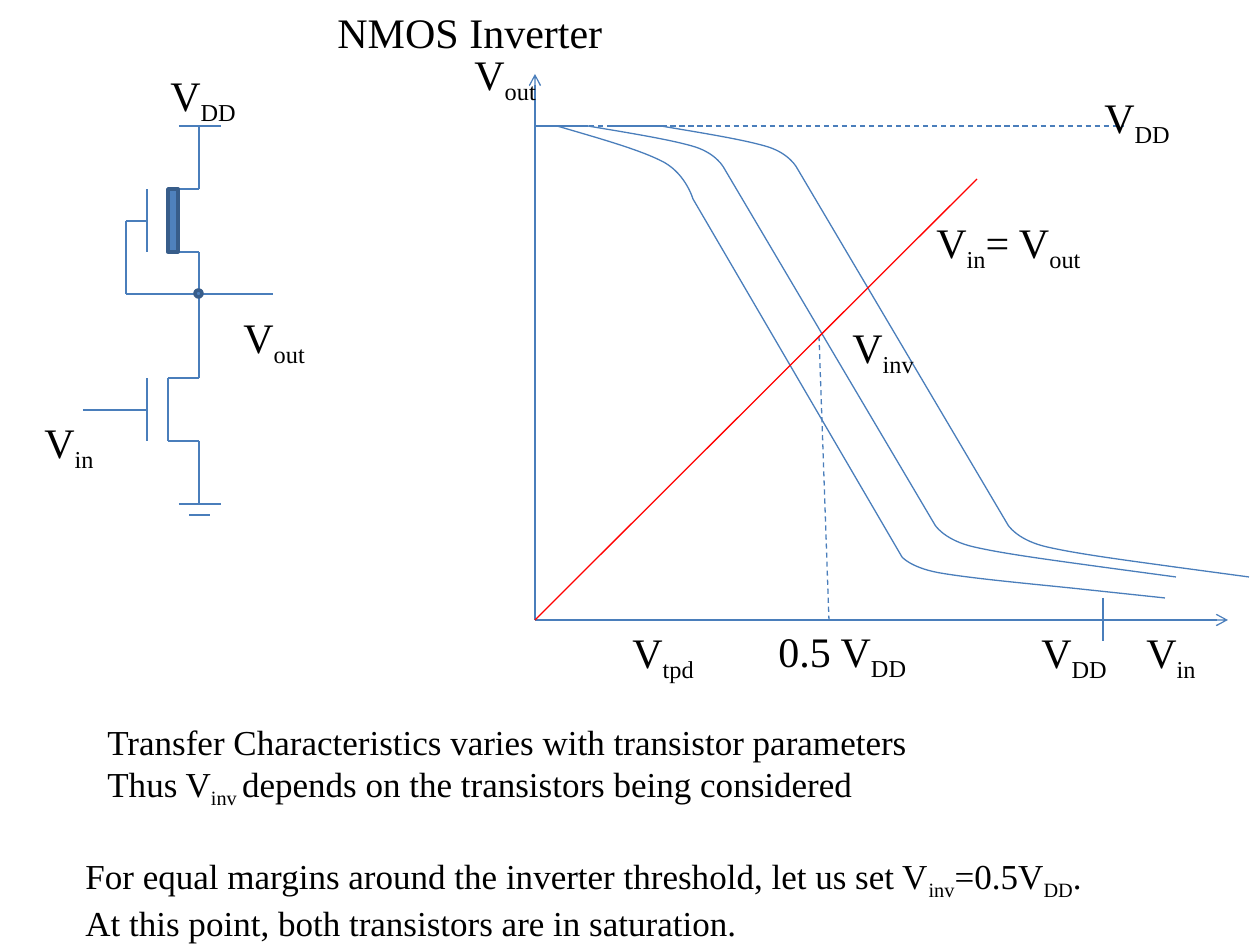
from lxml import etree
from pptx import Presentation, util as u
from pptx.dml.color import RGBColor
from pptx.enum import dml, shapes, text
from pptx.oxml.ns import qn

PX = 914400 / 126
BLUE = RGBColor(0x4A, 0x7E, 0xBB)
FILL = RGBColor(0x4F, 0x81, 0xBD)
EDGE = RGBColor(0x38, 0x5D, 0x8A)
RED = RGBColor(0xFF, 0, 0)
BLACK = RGBColor(0, 0, 0)
FONT = "Times New Roman"

# Text boxes: left, top, width, height, size, paragraphs; |...| marks a subscript
TEXTS = [
    (1092, 85, 126, 70, 24, ["V|DD|"]),
    (462, 42, 95, 70, 24, ["V|out|"]),
    (1134, 620, 95, 70, 24, ["V|in|"]),
    (620, 620, 95, 70, 24, ["V|tpd|"]),
    (325, 0, 620, 63, 24, ["NMOS Inverter"]),
    (95, 714, 1061, 103, 20, [
        "Transfer Characteristics varies with transistor parameters",
        "Thus V|inv |depends on the transistors being considered"]),
    (1029, 620, 116, 70, 24, ["V|DD|"]),
    (840, 315, 189, 70, 24, ["V|inv|"]),
    (158, 63, 136, 70, 24, ["V|DD|"]),
    (32, 410, 136, 70, 24, ["V|in|"]),
    (231, 305, 136, 70, 24, ["V|out|"]),
    (924, 210, 189, 70, 24, ["V|in|= V|out|"]),
    (766, 619, 168, 70, 24, ["0.5 V|DD|"]),
    (73, 848, 1040, 103, 20, [
        "For equal margins around the inverter threshold, let us set "
        "V|inv|=0.5V|DD|. At this point, both transistors are in saturation."]),
]

# Lines: x1, y1, x2, y2
AXES = [(535, 620, 535, 74), (535, 620, 1228, 620)]
DASHED = [(535, 126, 1124, 126), (819, 336, 829, 620)]
UNITY_GAIN = (977, 179, 535, 620)
VDD_TICK = (1103, 598, 1103, 641)
DRIVER = [
    (147, 378, 147, 441), (168, 378, 168, 441), (168, 378, 199, 378),
    (199, 441, 199, 504), (168, 441, 199, 441), (199, 315, 199, 378),
    (83, 410, 147, 410),
]
LOAD = [
    (147, 189, 147, 252), (168, 189, 199, 189), (199, 252, 199, 315),
    (168, 252, 199, 252), (199, 126, 199, 189), (126, 221, 147, 221),
    (126, 221, 126, 294), (126, 294, 273, 294),
]
RAILS = [(179, 504, 221, 504), (189, 515, 210, 515), (179, 126, 221, 126)]

# Transfer curves: lead-in start (or None), knee start, knee end, foot start, foot end, tail end
MIDDLE = [(535, 126), (588, 126), (724, 168), (935, 525), (1102, 567), (1176, 577)]
CURVES = [
    MIDDLE,
    [None, (557, 126), (693, 199), (902, 557), (1071, 588), (1165, 598)],
    [(x + 73, y) for x, y in MIDDLE],
]
# Control points of a bend's two cubic segments, as fractions of its width and height
BEND = [(0.31, 0.17), (0.62, 0.33), (0.79, 0.5), (0.95, 0.67), (1, 1), (1, 1)]


def emu(value):
    return u.Emu(round(value * PX))


def add_line(parent, ends, color=BLUE, dashed=False, arrow=False):
    connector = parent.add_connector(shapes.MSO_CONNECTOR.STRAIGHT, *map(emu, ends))
    connector.line.color.rgb = color
    connector.line.width = u.Pt(0.75)
    if dashed:
        connector.line.dash_style = dml.MSO_LINE.DASH
    if arrow:
        etree.SubElement(connector.line._get_or_add_ln(), qn("a:tailEnd"), type="arrow")
    etree.SubElement(connector._element.spPr, qn("a:effectLst"))


def add_bend(parent, start, end):
    points = [tuple(emu(a + (b - a) * f) for a, b, f in zip(start, end, fraction))
              for fraction in BEND]
    builder = parent.build_freeform(*map(emu, start))
    builder.add_line_segments(points, close=False)
    bend = builder.convert_to_shape()
    # Each three straight steps become one cubic segment
    steps = list(bend._element.iter(qn("a:lnTo")))
    outline = steps[0].getparent()
    for first in range(0, len(steps), 3):
        cubic = etree.SubElement(outline, qn("a:cubicBezTo"))
        for step in steps[first:first + 3]:
            cubic.append(step[0])
            outline.remove(step)
    bend.shadow.inherit = False
    bend.fill.background()
    bend.line.color.rgb = BLUE
    bend.line.width = u.Pt(0.75)


def add_curve(parent, lead, knee, knee_end, foot, foot_end, tail):
    add_bend(parent, knee, knee_end)
    add_bend(parent, foot_end, foot)
    add_line(parent, knee_end + foot)
    add_line(parent, foot_end + tail)
    if lead:
        add_line(parent, lead + knee)


def add_solid(parent, kind, box):
    shape = parent.add_shape(kind, *map(emu, box))
    shape.shadow.inherit = False
    shape.fill.solid()
    shape.fill.fore_color.rgb = FILL
    shape.line.color.rgb = EDGE
    shape.line.width = u.Pt(2)


def add_text(parent, left, top, width, height, size, lines):
    frame = parent.add_textbox(*map(emu, (left, top, width, height))).text_frame
    frame.word_wrap = True
    frame.auto_size = text.MSO_AUTO_SIZE.SHAPE_TO_FIT_TEXT
    for index, line in enumerate(lines):
        paragraph = frame.add_paragraph() if index else frame.paragraphs[0]
        paragraph.font.size = u.Pt(size)
        paragraph.font.name = FONT
        paragraph.font.color.rgb = BLACK
        for position, part in enumerate(line.split("|")):
            if part:
                run = paragraph.add_run()
                run.text = part
                if position % 2:
                    run._r.get_or_add_rPr().set("baseline", "-25000")


def main():
    presentation = Presentation()
    presentation.slide_width, presentation.slide_height = u.Inches(10), u.Inches(7.5)
    slide = presentation.slides.add_slide(presentation.slide_layouts[6])
    canvas = slide.shapes

    # Graph
    for ends in AXES:
        add_line(canvas, ends, arrow=True)
    for ends in DASHED:
        add_line(canvas, ends, dashed=True)
    for curve in CURVES:
        add_curve(canvas.add_group_shape().shapes, *curve)
    add_line(canvas, UNITY_GAIN, RED)
    add_line(canvas, VDD_TICK)

    # Inverter circuit
    driver = canvas.add_group_shape().shapes
    for ends in DRIVER:
        add_line(driver, ends)
    for ends in LOAD + RAILS:
        add_line(canvas, ends)
    add_solid(canvas, shapes.MSO_SHAPE.OVAL, (195, 290, 7, 7))
    add_solid(canvas, shapes.MSO_SHAPE.RECTANGLE, (168, 189, 10, 63))

    # Labels and notes
    for entry in TEXTS:
        add_text(canvas, *entry)

    presentation.save("out.pptx")


if __name__ == "__main__":
    main()
